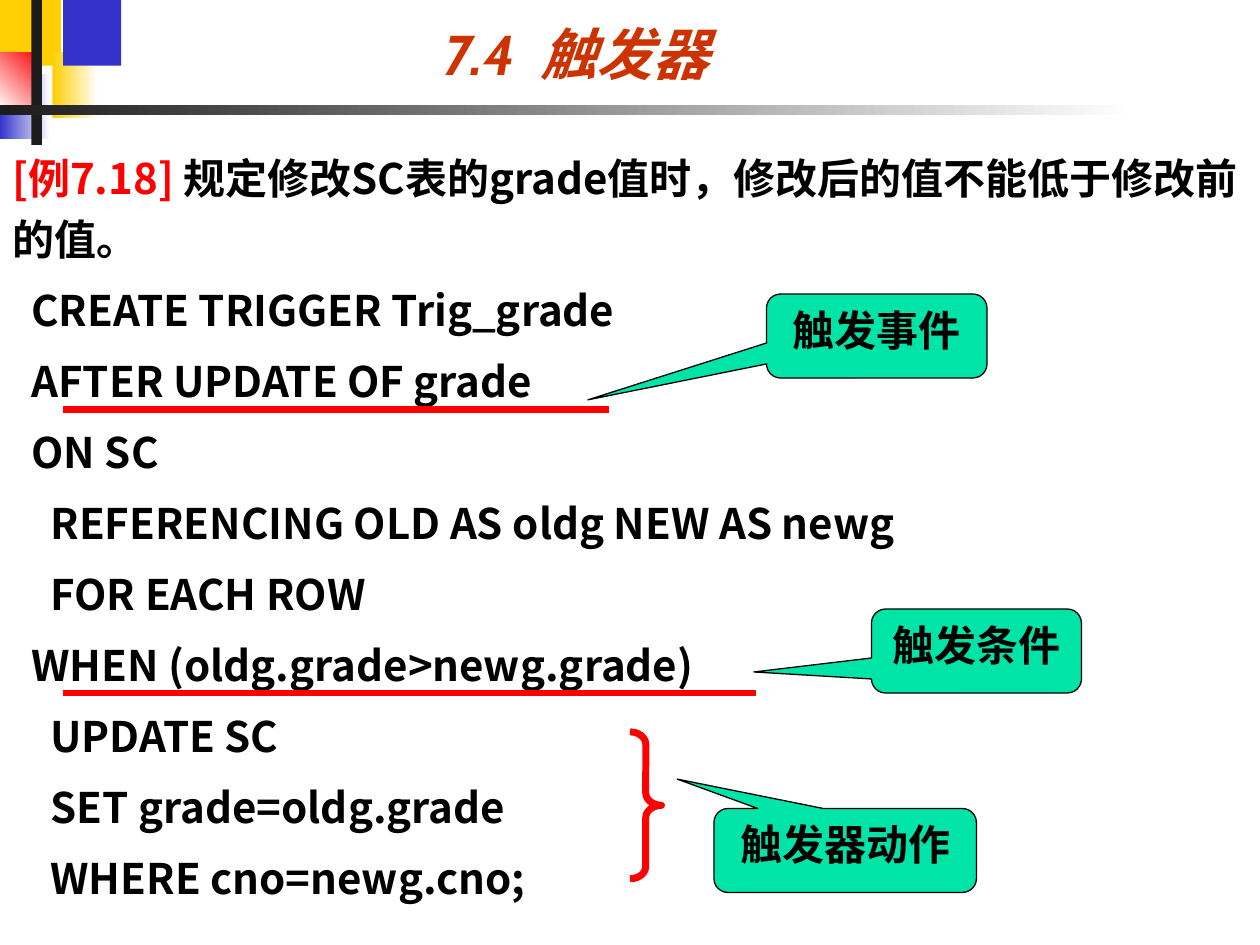
from lxml.etree import SubElement
from pptx import Presentation
from pptx.dml.color import RGBColor
from pptx.enum.shapes import MSO_CONNECTOR, MSO_SHAPE
from pptx.enum.text import MSO_ANCHOR, PP_ALIGN
from pptx.oxml.ns import qn
from pptx.util import Inches, Pt

YELLOW = RGBColor(0xFF, 0xCF, 0x01)
BLUE = RGBColor(0x33, 0x33, 0xCC)
RED = RGBColor(0xFF, 0x00, 0x00)
WHITE = RGBColor(0xFF, 0xFF, 0xFF)
CHARCOAL = RGBColor(0x1C, 0x1C, 0x1C)
ORANGE = RGBColor(0xCC, 0x33, 0x00)
GREEN = RGBColor(0x00, 0xE4, 0xA8)
BLACK = RGBColor(0x00, 0x00, 0x00)

presentation = Presentation()
presentation.slide_width = Inches(10)
presentation.slide_height = Inches(7.5)
slide = presentation.slides.add_slide(presentation.slide_layouts[6])
CELL = presentation.slide_width / 120


def grid(*cells):
    return [round(cell * CELL) for cell in cells]


def style(paragraph, size, name, color):
    paragraph.font.size = Pt(size)
    paragraph.font.name = name
    paragraph.font.bold = True
    paragraph.font.color.rgb = color


decorations = [
    ((0, 0, 5.8, 6.25), [YELLOW], 0),
    ((5, 5, 4.3, 6.25), [YELLOW, WHITE], 0),
    ((6, 0, 5.55, 6.25), [BLUE], 0),
    ((0, 7, 4.8, 6.25), [BLUE, WHITE], 0),
    ((0, 5, 4, 5.5), [WHITE, RED], 45),
    ((3, 0, 1, 13.8), [CHARCOAL], 0),
    ((0, 10, 108, 0.95), [CHARCOAL, WHITE], 0),
]
for cells, colors, angle in decorations:
    shape = slide.shapes.add_shape(MSO_SHAPE.RECTANGLE, *grid(*cells))
    shape.shadow.inherit = False
    shape.line.fill.background()
    if len(colors) == 1:
        shape.fill.solid()
        shape.fill.fore_color.rgb = colors[0]
    else:
        shape.fill.gradient()
        shape.fill.gradient_angle = angle
        for stop, color, position in zip(shape.fill.gradient_stops, colors, (0, 1)):
            stop.color.rgb = color
            stop.position = position

title = slide.shapes.add_textbox(*grid(14, 0, 81.8, 8.9))
title.text_frame.word_wrap = True
title.text_frame.vertical_anchor = MSO_ANCHOR.BOTTOM
paragraph = title.text_frame.paragraphs[0]
paragraph.alignment = PP_ALIGN.CENTER
style(paragraph, 32, "Cabin", ORANGE)
paragraph.font.italic = True
for text, spacing in (("7.4", 0), (" ", 700), ("触发器", 0)):
    run = paragraph.add_run()
    run.text = text
    run.font._element.set("spc", str(spacing))

body = slide.shapes.add_textbox(*grid(0, 13, 120, 77))
body.text_frame.word_wrap = True
paragraph = body.text_frame.paragraphs[0]
paragraph.line_spacing = 1.2
style(paragraph, 24, "Noto Sans CJK SC", BLACK)
for text, color in (
    ("[例7.18] ", RED),
    ("规定修改SC表的grade值时，修改后的值不能低于修改前的值。", BLACK),
):
    run = paragraph.add_run()
    run.text = text
    run.font.color.rgb = color

code_lines = [
    "  CREATE TRIGGER Trig_grade",
    "  AFTER UPDATE OF grade",
    "  ON SC",
    "    REFERENCING OLD AS oldg NEW AS newg",
    "    FOR EACH ROW",
    "  WHEN (oldg.grade>newg.grade)",
    "    UPDATE SC",
    "    SET grade=oldg.grade",
    "    WHERE cno=newg.cno;",
]
for code_line in code_lines:
    paragraph = body.text_frame.add_paragraph()
    paragraph.text = code_line
    paragraph.line_spacing = 1.2
    paragraph.space_before = Pt(6)
    style(paragraph, 24, "Noto Sans CJK SC", BLACK)

for right, row in ((58, 39), (72, 66)):
    underline = slide.shapes.add_connector(MSO_CONNECTOR.STRAIGHT, *grid(6, row, right, row))
    underline.line.color.rgb = RED
    underline.line.width = Pt(4)
    SubElement(underline._element.spPr, qn("a:effectLst"))

callouts = [
    ("触发事件", (73, 28, 21, 8), (-1.31, 0.76)),
    ("触发条件", (83, 58, 20, 8), (-1.06, 0.25)),
    ("触发器动作", (68, 77, 25, 8), (-0.64, -0.85)),
]
for text, cells, tip in callouts:
    callout = slide.shapes.add_shape(MSO_SHAPE.ROUNDED_RECTANGULAR_CALLOUT, *grid(*cells))
    callout.shadow.inherit = False
    callout.adjustments[0], callout.adjustments[1] = tip
    callout.fill.solid()
    callout.fill.fore_color.rgb = GREEN
    callout.line.color.rgb = BLACK
    callout.line.width = Pt(0.75)
    callout.text_frame.vertical_anchor = MSO_ANCHOR.TOP
    paragraph = callout.text_frame.paragraphs[0]
    paragraph.text = text
    paragraph.alignment = PP_ALIGN.CENTER
    style(paragraph, 24, "Cabin", BLACK)

brace = slide.shapes.add_shape(MSO_SHAPE.RIGHT_BRACE, *grid(60, 69.7, 3, 14))
brace.shadow.inherit = False
brace.adjustments[0] = 0.39
brace.fill.background()
brace.line.color.rgb = RED
brace.line.width = Pt(4)

presentation.save("out.pptx")
